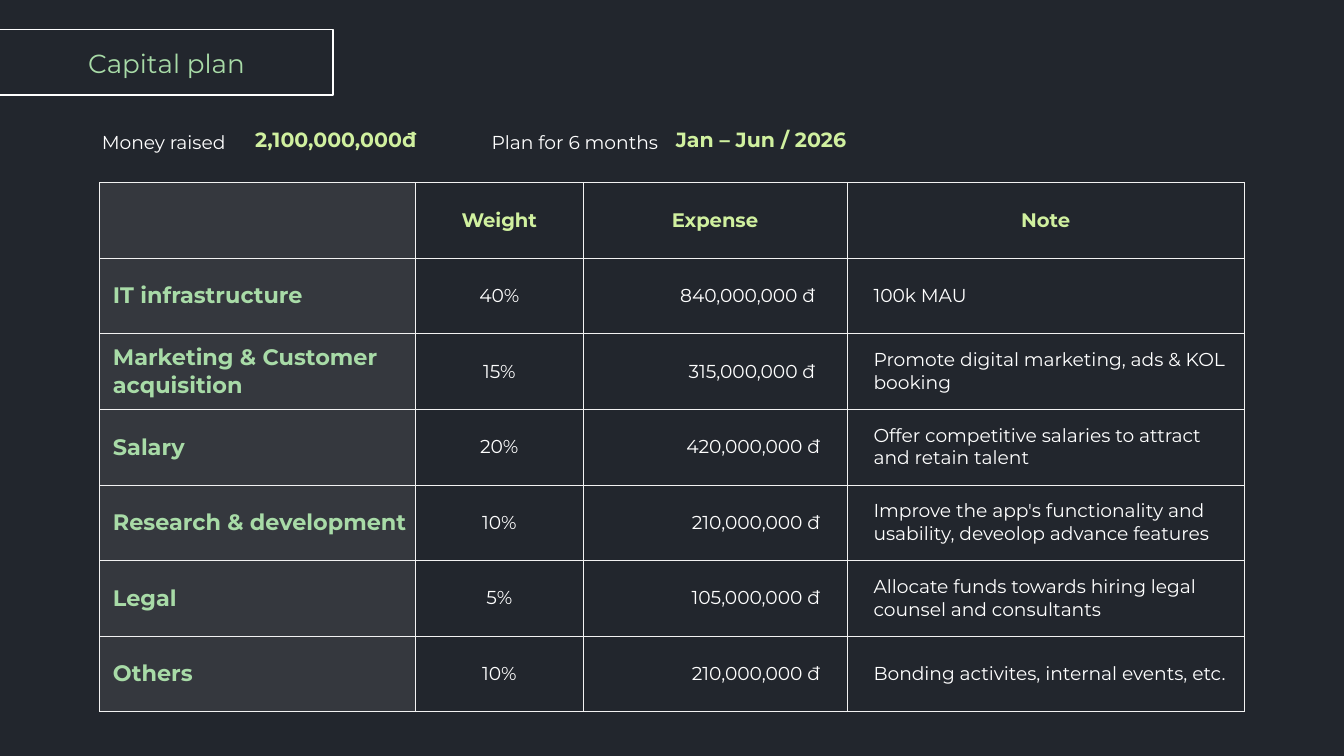
from dataclasses import dataclass
from typing import Any, NamedTuple

from lxml.etree import SubElement
from pptx import Presentation
from pptx.dml.color import RGBColor
from pptx.enum.shapes import MSO_SHAPE
from pptx.enum.text import MSO_ANCHOR as ANCHOR, MSO_AUTO_SIZE as FIT, PP_ALIGN as ALIGN
from pptx.oxml.ns import qn
from pptx.util import Inches, Pt


@dataclass(frozen=True)
class Theme:
    font: str = "Montserrat"
    background: str = "22262D"
    white: str = "FFFFFF"
    green: str = "A8DBA7"
    lime: str = "D0F09F"
    border: str = "F2F2F2"
    tint: str = "DDDDDD"
    tint_alpha: int = 10
    title: float = 14
    row_head: float = 12
    amount: float = 11
    column_head: float = 10.5
    body: float = 10


THEME = Theme()


class Box(NamedTuple):
    """Position and size in percent of the slide's width and height."""
    left: float
    top: float
    width: float
    height: float


class TextStyle(NamedTuple):
    size: float
    color: str
    bold: bool = False
    align: Any = ALIGN.LEFT


class Fact(NamedTuple):
    label: str
    label_left: float
    label_width: float
    value: str
    value_left: float


class Column(NamedTuple):
    head: str
    width: float
    style: TextStyle
    inset_left: float = 0.03
    inset_right: float = 0.03


TITLE = TextStyle(THEME.title, THEME.green, align=ALIGN.CENTER)
LABEL = TextStyle(THEME.body, THEME.white)
AMOUNT = TextStyle(THEME.amount, THEME.lime, True)
COLUMN_HEAD = TextStyle(THEME.column_head, THEME.lime, True, ALIGN.CENTER)

OUTLINE_BOX = Box(-0.7, 3.9, 25.5, 8.7)
TITLE_BOX = Box(0, 5.87, 24.8, 5)
TABLE_BOX = Box(7.4, 24.15, 85.2, 70)
VALUE_TOP, VALUE_WIDTH, VALUE_HEIGHT = 16, 17.6, 4.8
LABEL_TOP, LABEL_HEIGHT = 15.5, 5.3

FACTS = [
    Fact("Money raised", 6.6, 11.4, "2,100,000,000đ", 18),
    Fact("Plan for 6 months", 35.6, 15.4, "Jan – Jun / 2026", 49.3),
]

COLUMNS = [
    Column("", 23.5, TextStyle(THEME.row_head, THEME.green, True), inset_left=0.1),
    Column("Weight", 12.5, LABEL._replace(align=ALIGN.CENTER)),
    Column("Expense", 19.6, LABEL._replace(align=ALIGN.RIGHT), inset_right=0.2),
    Column("Note", 29.6, LABEL, inset_left=0.2),
]

PLAN = [
    ("IT infrastructure", "40%", "840,000,000 đ ", "100k MAU"),
    ("Marketing & Customer acquisition", "15%", "315,000,000 đ ",
     "Promote digital marketing, ads & KOL booking"),
    ("Salary", "20%", "420,000,000 đ",
     "Offer competitive salaries to attract and retain talent"),
    ("Research & development", "10%", "210,000,000 đ",
     "Improve the app's functionality and usability, deveolop advance features"),
    ("Legal", "5%", "105,000,000 đ",
     "Allocate funds towards hiring legal counsel and consultants"),
    ("Others", "10%", "210,000,000 đ", "Bonding activites, internal events, etc."),
]

prs = Presentation()
prs.slide_width = Inches(10)
prs.slide_height = prs.slide_width * 9 // 16


def across(percent: float) -> int:
    return round(prs.slide_width * percent / 100)


def down(percent: float) -> int:
    return round(prs.slide_height * percent / 100)


def place(box: Box) -> tuple[int, int, int, int]:
    return across(box.left), down(box.top), across(box.width), down(box.height)


def apply(target: Any, values: dict[str, Any]) -> None:
    for name, value in values.items():
        setattr(target, name, value)


def write(tf: Any, text: str, style: TextStyle) -> None:
    p = tf.paragraphs[0]
    p.alignment = style.align
    r = p.add_run()
    r.text = text
    apply(r.font, {"name": THEME.font, "size": Pt(style.size), "bold": style.bold})
    r.font.color.rgb = RGBColor.from_string(style.color)


def format_frame(tf: Any, inset: float, anchor: Any, fit: Any) -> None:
    margins = dict.fromkeys(
        ("margin_left", "margin_right", "margin_top", "margin_bottom"), Inches(inset))
    apply(tf, {**margins, "word_wrap": True, "vertical_anchor": anchor, "auto_size": fit})


def add_title(slide: Any) -> None:
    outline = slide.shapes.add_shape(MSO_SHAPE.RECTANGLE, *place(OUTLINE_BOX))
    outline.shadow.inherit = False
    outline.fill.background()
    outline.line.color.rgb = RGBColor.from_string(THEME.white)
    outline.line.width = Pt(1)
    title = slide.shapes.title
    apply(title, dict(zip(("left", "top", "width", "height"), place(TITLE_BOX))))
    format_frame(title.text_frame, 0.1, ANCHOR.MIDDLE, FIT.NONE)
    write(title.text_frame, "Capital plan", TITLE)


def add_fact(slide: Any, fact: Fact) -> None:
    value_box = Box(fact.value_left, VALUE_TOP, VALUE_WIDTH, VALUE_HEIGHT)
    tf = slide.shapes.add_textbox(*place(value_box)).text_frame
    format_frame(tf, 0.1, ANCHOR.MIDDLE, FIT.NONE)
    write(tf, fact.value, AMOUNT)

    label_box = Box(fact.label_left, LABEL_TOP, fact.label_width, LABEL_HEIGHT)
    tf = slide.shapes.add_textbox(*place(label_box)).text_frame
    format_frame(tf, 0.05, ANCHOR.TOP, FIT.SHAPE_TO_FIT_TEXT)
    apply(tf, {"margin_left": Inches(0.1), "margin_right": Inches(0.1)})
    tf.paragraphs[0].line_spacing = 1.3
    write(tf, fact.label, LABEL)


def add_borders(cell: Any) -> None:
    props = cell._tc.get_or_add_tcPr()
    for side in ("a:lnL", "a:lnR", "a:lnT", "a:lnB"):
        line = SubElement(props, qn(side), w=str(Pt(0.25)))
        fill = SubElement(line, qn("a:solidFill"))
        SubElement(fill, qn("a:srgbClr"), val=THEME.border)


def tint(cell: Any) -> None:
    cell.fill.solid()
    cell.fill.fore_color.rgb = RGBColor.from_string(THEME.tint)
    color = cell._tc.tcPr.find(".//" + qn("a:solidFill") + "[last()]/../"
                               + qn("a:solidFill") + "/" + qn("a:srgbClr")
                               + f"[@val='{THEME.tint}']")
    SubElement(color, qn("a:alpha"), val=str(THEME.tint_alpha * 1000))


def add_plan(slide: Any) -> None:
    rows = [tuple(c.head for c in COLUMNS), *PLAN]
    table = slide.shapes.add_table(len(rows), len(COLUMNS), *place(TABLE_BOX)).table
    apply(table, {"first_row": False, "horz_banding": False})
    for i, column in enumerate(COLUMNS):
        table.columns[i].width = across(column.width)
        for j, row in enumerate(rows):
            cell = table.cell(j, i)
            left, right = (0.03, 0.03) if j == 0 else (column.inset_left, column.inset_right)
            apply(cell, {"margin_left": Inches(left), "margin_right": Inches(right),
                         "margin_top": Inches(0.02), "margin_bottom": Inches(0.02),
                         "vertical_anchor": ANCHOR.MIDDLE})
            add_borders(cell)
            if i == 0:
                tint(cell)
            else:
                cell.fill.background()
            if row[i]:
                write(cell.text_frame, row[i], COLUMN_HEAD if j == 0 else column.style)


def main() -> None:
    slide = prs.slides.add_slide(prs.slide_layouts[5])
    slide.background.fill.solid()
    slide.background.fill.fore_color.rgb = RGBColor.from_string(THEME.background)
    add_title(slide)
    add_plan(slide)
    for fact in FACTS:
        add_fact(slide, fact)
    prs.save("out.pptx")


if __name__ == "__main__":
    main()
